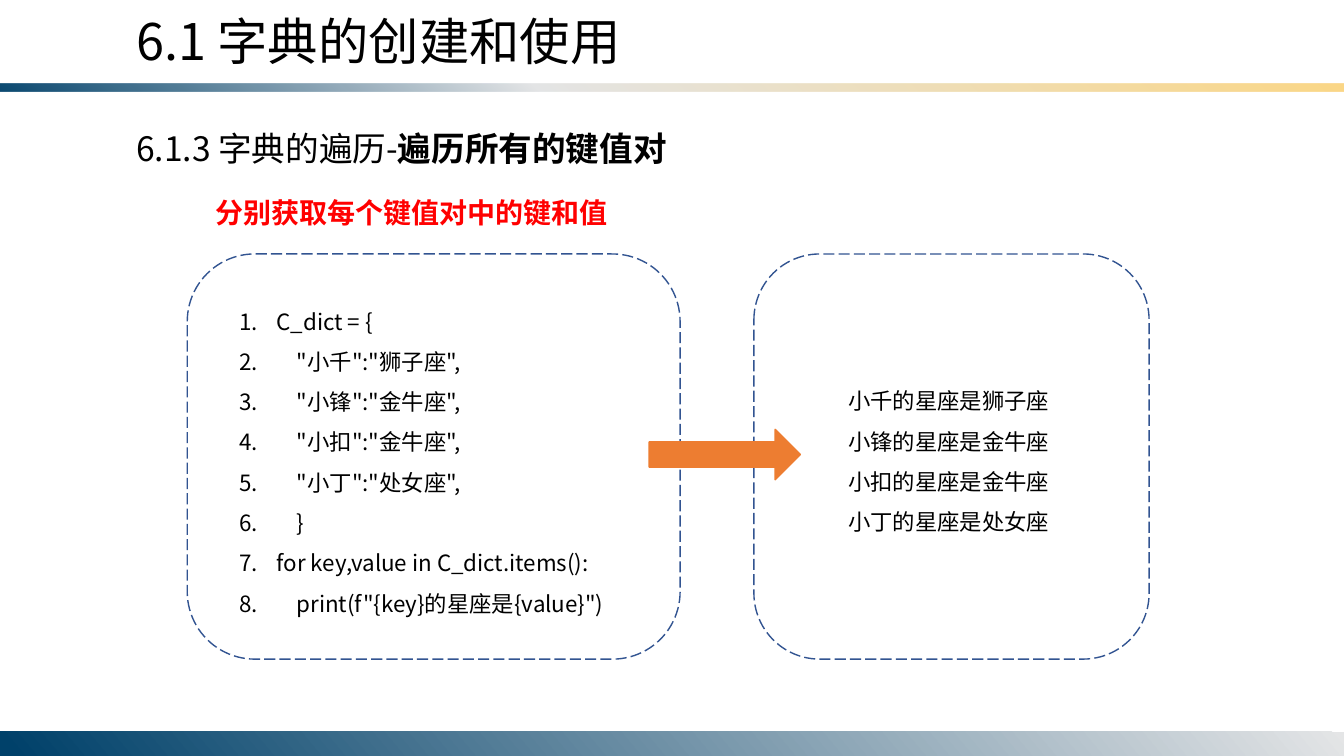
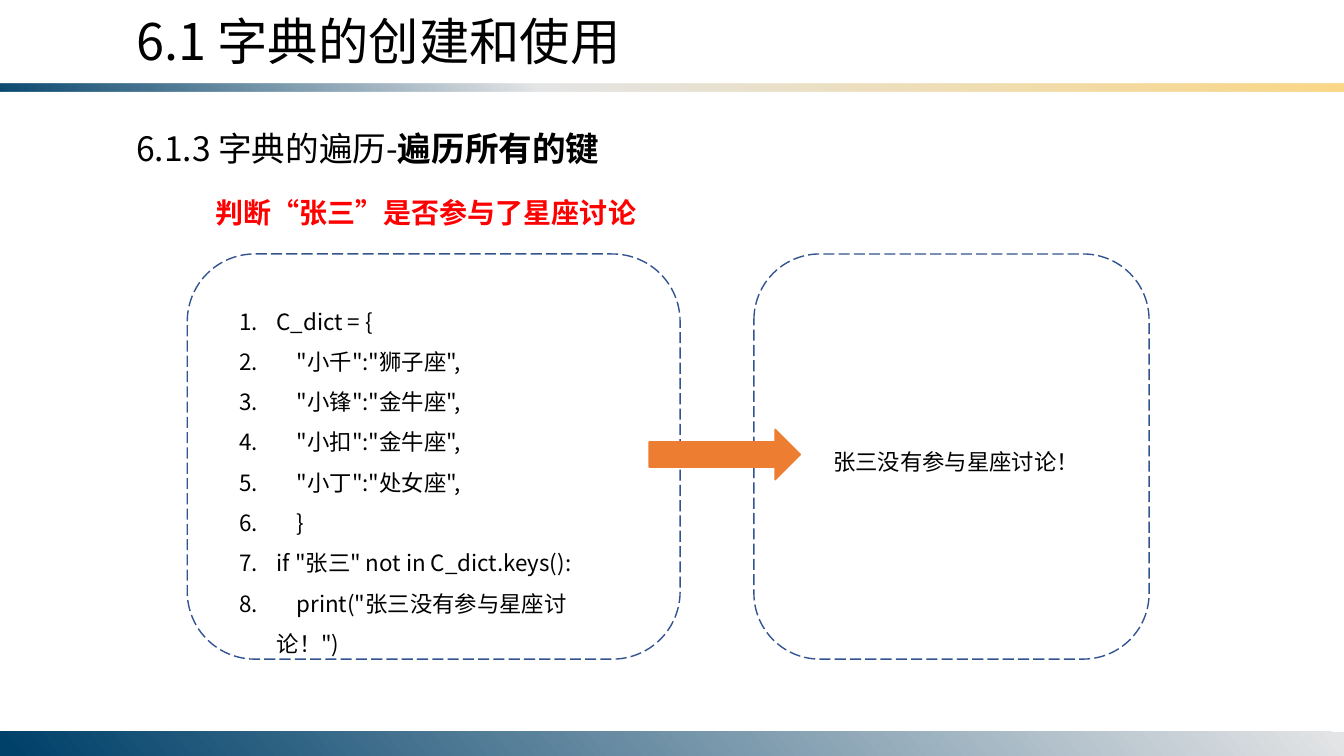
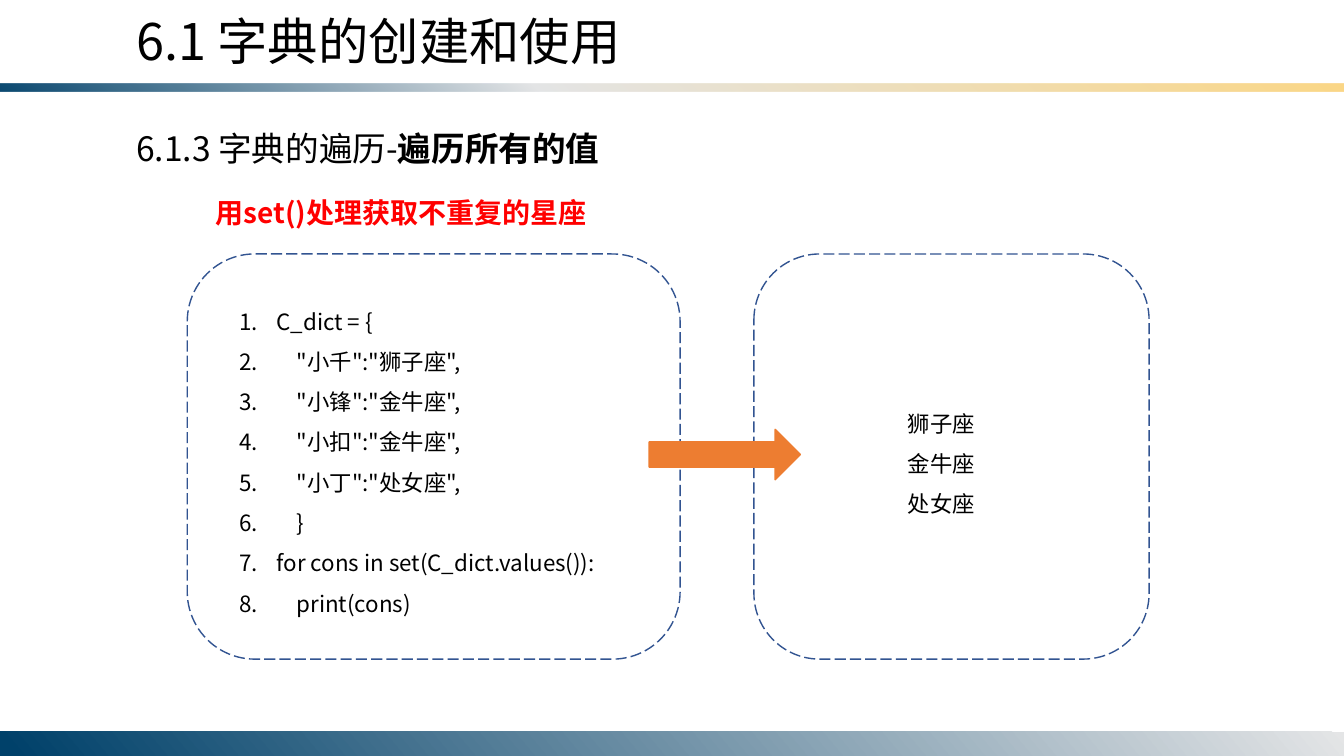
import pptx
import pptx.dml.color
import pptx.enum.dml
import pptx.enum.shapes
import pptx.enum.text
import pptx.oxml
import pptx.oxml.ns
import pptx.util

Cm = pptx.util.Cm
Pt = pptx.util.Pt
qn = pptx.oxml.ns.qn
KIND = pptx.enum.shapes.MSO_SHAPE
NS = pptx.oxml.ns.nsdecls("a")

FONT = "Noto Sans CJK SC"
COLOR = {
    "text": "000000",
    "note": "FF0000",
    "frame": "325491",
    "arrow": "ED7D31",
    "navy": "00416A",
    "gray": "E4E5E6",
    "gold": "FBD786",
}
WIDE, HIGH = 33.87, 19.05
LINE_HIGH = 1.02
PAD = 0.25

TITLE = "6.1 字典的创建和使用"
HEAD = "6.1.3 字典的遍历-"
DICT_CODE = [
    "C_dict = {",
    '    "小千":"狮子座",',
    '    "小锋":"金牛座",',
    '    "小扣":"金牛座",',
    '    "小丁":"处女座",',
    "    }",
]
# Each result box gives its left, top and width in centimetres.
PAGES = [
    {
        "topic": "遍历所有的键值对",
        "note": "分别获取每个键值对中的键和值",
        "code": ["for key,value in C_dict.items():",
                 '    print(f"{key}的星座是{value}")'],
        "result": ["小千的星座是狮子座", "小锋的星座是金牛座",
                   "小扣的星座是金牛座", "小丁的星座是处女座"],
        "box": (21.13, 9.3, 5.69),
    },
    {
        "topic": "遍历所有的键",
        "note": "判断“张三”是否参与了星座讨论",
        "code": ['if "张三" not in C_dict.keys():',
                 '    print("张三没有参与星座讨论！")'],
        "result": ["张三没有参与星座讨论！"],
        "box": (20.75, 10.82, 6.48),
    },
    {
        "topic": "遍历所有的值",
        "note": "用set()处理获取不重复的星座",
        "code": ["for cons in set(C_dict.values()):", "    print(cons)"],
        "result": ["狮子座", "金牛座", "处女座"],
        "box": (22.63, 9.86, 2.69),
    },
]


def rgb(name):
    return pptx.dml.color.RGBColor.from_string(COLOR[name])


def place(shape, left, top, width, height):
    shape.left, shape.top = Cm(left), Cm(top)
    shape.width, shape.height = Cm(width), Cm(height)


def style(run, size, color="text", bold=False):
    font = run.font
    font.name, font.size, font.bold = FONT, Pt(size), bold
    font.color.rgb = rgb(color)
    latin = font._element.find(qn("a:latin"))
    latin.addnext(pptx.oxml.parse_xml(f'<a:ea {NS} typeface="{FONT}"/>'))


def write(shape, lines, size, color="text", bold=False, space=1.0):
    """Fill a shape with one styled paragraph a line."""
    frame = shape.text_frame
    frame.word_wrap = True
    frame.auto_size = pptx.enum.text.MSO_AUTO_SIZE.SHAPE_TO_FIT_TEXT
    frame.vertical_anchor = pptx.enum.text.MSO_ANCHOR.TOP
    frame.text = "\n".join(lines)
    for para in frame.paragraphs:
        para.alignment = pptx.enum.text.PP_ALIGN.LEFT
        para.line_spacing = space
        para.space_before = Pt(0)
        for run in para.runs:
            style(run, size, color, bold)
    return frame


def add_text(slide, box, lines, size, **look):
    shape = slide.shapes.add_textbox(*map(Cm, box))
    return write(shape, lines, size, **look)


def add_list(shape, lines):
    """Write numbered code lines."""
    for para in write(shape, lines, 16, space=1.5).paragraphs:
        props = para._p.get_or_add_pPr()
        props.set("marL", str(Cm(0.95)))
        props.set("indent", str(-Cm(0.95)))
        for tag in (f'buFont {NS} typeface="{FONT}"',
                    f'buAutoNum {NS} type="arabicPeriod"'):
            props.append(pptx.oxml.parse_xml(f"<a:{tag}/>"))


def add_shape(slide, kind, box):
    shape = slide.shapes.add_shape(kind, *map(Cm, box))
    shape.shadow.inherit = False
    return shape


def add_frame(slide, left, width):
    shape = add_shape(slide, KIND.ROUNDED_RECTANGLE, (left, 6.4, width, 10.21))
    shape.fill.background()
    shape.line.color.rgb = rgb("frame")
    shape.line.width = Pt(1)
    shape.line.dash_style = pptx.enum.dml.MSO_LINE.LONG_DASH


def add_arrow(slide):
    shape = add_shape(slide, KIND.RIGHT_ARROW, (16.36, 10.82, 3.81, 1.27))
    shape.fill.solid()
    shape.fill.fore_color.rgb = rgb("arrow")
    shape.line.color.rgb = rgb("arrow")
    shape.line.width = Pt(1)


def add_band(slide, top, height, stops, angle):
    """Add a full-width band; stops are (percent, colour, opacity)."""
    band = add_shape(slide, KIND.RECTANGLE, (0, top, WIDE, height))
    band.line.fill.background()
    band.fill.gradient()
    band.fill.gradient_angle = 360 - angle
    marks = next(band.element.iter(qn("a:gsLst")))
    for mark in list(marks):
        marks.remove(mark)
    for at, color, alpha in stops:
        marks.append(pptx.oxml.parse_xml(
            f'<a:gs {NS} pos="{at * 1000}"><a:srgbClr val="{COLOR[color]}">'
            f'<a:alpha val="{alpha * 1000}"/></a:srgbClr></a:gs>'))
    return band


def set_layout(layout, slide):
    """Place the shared title, code area and bands on the layout."""
    title, body = layout.placeholders[0], layout.placeholders[1]
    place(title, 3.18, 0.13, 15.54, 1.8)
    place(body, 5.77, 7.29, 10.34, 8.46)
    upper = add_band(slide, 2.11, 0.2, [
        (0, "navy", 95), (40, "gray", 100), (100, "gold", 100)], 50)
    upper.element.spPr.find(qn("a:xfrm")).set("flipV", "1")
    lower = add_band(slide, 18.44, 0.61, [
        (0, "gray", 100), (99, "navy", 100)], 140)
    for band in (upper, lower):
        layout.shapes.element.append(band.element)


def fill_page(slide, page):
    write(slide.shapes.title, [TITLE], 36)
    head = add_text(slide, (3.18, 3.1, 20.3, 1.27), [HEAD], 24)
    topic = head.paragraphs[0].add_run()
    topic.text = page["topic"]
    style(topic, 24, bold=True)
    add_text(slide, (5.18, 4.37, 14.68, 1.52), [page["note"]], 20,
             color="note", bold=True, space=1.5)
    add_list(slide.placeholders[1], DICT_CODE + page["code"])
    add_frame(slide, 4.72, 12.42)
    lines = page["result"]
    add_text(slide, (*page["box"], len(lines) * LINE_HIGH + PAD), lines, 16,
             space=1.5)
    add_frame(slide, 19, 9.96)
    add_arrow(slide)


def main():
    deck = pptx.Presentation()
    deck.slide_width, deck.slide_height = Cm(WIDE), Cm(HIGH)
    layout = deck.slide_layouts[1]
    slides = [deck.slides.add_slide(layout) for _ in PAGES]
    set_layout(layout, slides[0])
    for slide, page in zip(slides, PAGES):
        fill_page(slide, page)
    deck.save("out.pptx")


if __name__ == "__main__":
    main()
